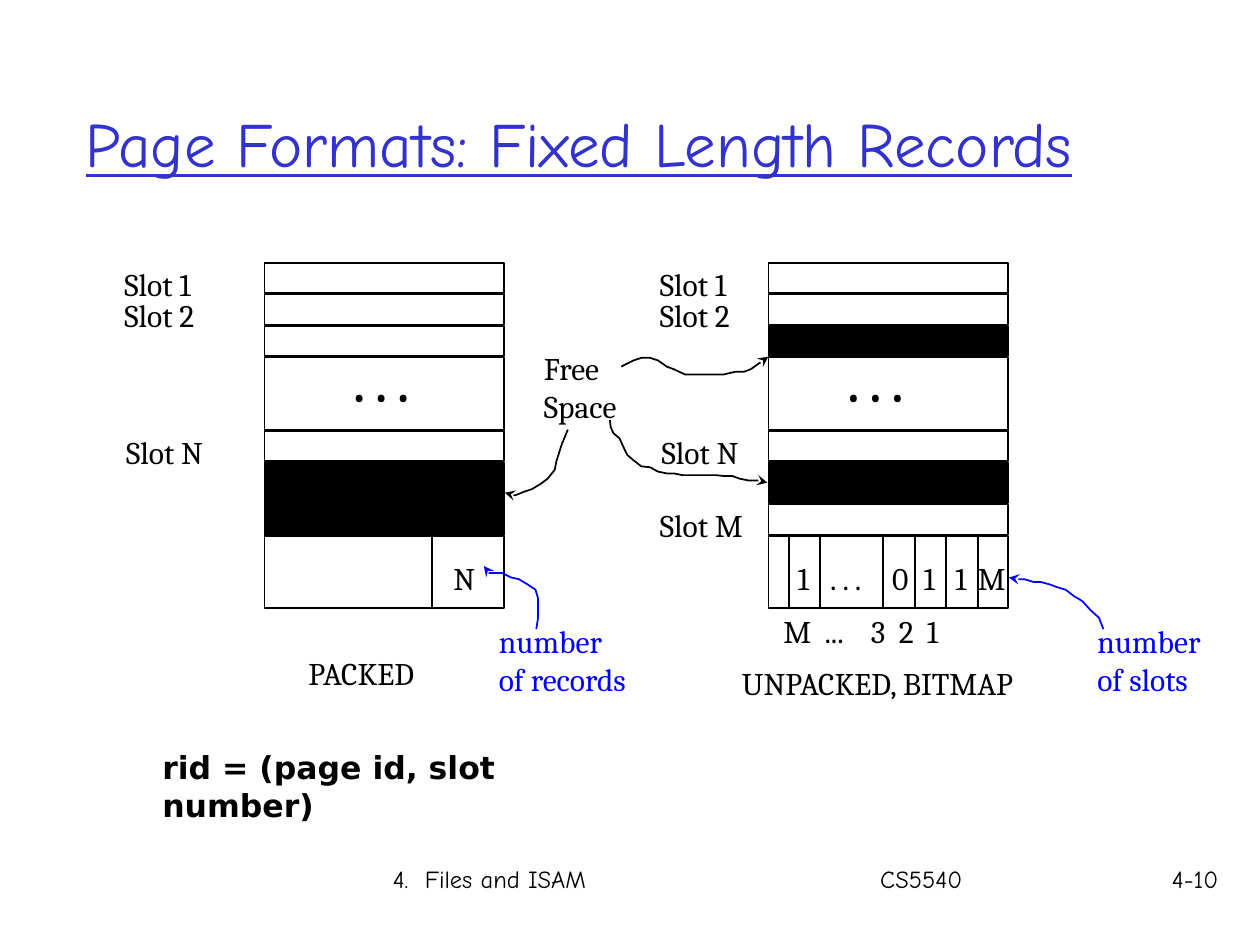
from dataclasses import dataclass

from lxml.etree import SubElement
from pptx import Presentation
from pptx.dml.color import RGBColor
from pptx.enum.shapes import MSO_CONNECTOR, MSO_SHAPE
from pptx.enum.text import MSO_ANCHOR, PP_ALIGN
from pptx.oxml.ns import qn
from pptx.util import Pt


@dataclass(frozen=True)
class Theme:
    black: RGBColor = RGBColor(0x00, 0x00, 0x00)
    blue: RGBColor = RGBColor(0x00, 0x00, 0xFF)
    title_blue: RGBColor = RGBColor(0x33, 0x33, 0xCC)
    heading_font: str = "Comic Neue"
    label_font: str = "Cambria"
    formula_font: str = "DejaVu Sans"
    title_size: int = 36
    dots_size: int = 28
    label_size: int = 18
    footer_size: int = 14
    line_width: int = 1


THEME = Theme()

PAGE_TOP = 150.25
PAGE_WIDTH = 136.8
PACKED_LEFT = 151.2
UNPACKED_LEFT = 439.2
ROW_GAP = 0.7
SLOT, BLOCK, FREE = 18, 42, 24
HEADER_TOP, HEADER_BOTTOM = 305.5, 347.5
BIT_LEFT, BIT_WIDTH = 450.75, 18

# Each row is its pitch and whether it is free space.
PACKED_ROWS = [(SLOT, False)] * 3 + [
    (BLOCK, False), (SLOT, False), (BLOCK, True), (BLOCK, False)]
UNPACKED_ROWS = [(SLOT, False)] * 2 + [
    (SLOT, True), (BLOCK, False), (SLOT, False),
    (FREE, True), (SLOT, False), (BLOCK, False)]

# Column of each bitmap cell, its text and the shift of the text.
BITMAP = [(0, "1", -2), (1, ". . .", -1.5), (3, "0", -2),
          (4, "1", -2), (5, "1", -2), (6, "M", -7.2)]

FREE_SPACE_ARROWS = [
    [(355, 209.5), (362, 206), (366.5, 204.5), (371.5, 204.5), (376, 206),
     (381, 209.5), (385, 211), (391.5, 214), (413.5, 214), (420, 212.5),
     (425, 212.5), (429, 211), (434, 207.5), (439, 203.8)],
    [(348.5, 240), (349, 244), (350.5, 247.5), (354, 250.5), (357, 257),
     (358.5, 260), (362, 263), (366.5, 266.5), (371.5, 267), (376, 269.5),
     (381, 270.5), (385, 270.5), (390, 271.5), (409, 271.5), (413.5, 272),
     (418.5, 272), (422.5, 273.5), (427.5, 274.5), (437, 274.5), (438.5, 275.8)],
    [(324.5, 245.5), (321, 254), (318, 263.5), (317, 268.5), (313, 273.5),
     (309, 276.5), (304, 279.5), (299.5, 281), (294.5, 283), (290, 283),
     (288.5, 281.5)],
]
COUNT_ARROWS = [
    [(306.5, 359.5), (307.5, 353), (307.5, 342), (306, 337), (301.5, 334),
     (296.5, 331), (292, 330), (287, 327.5), (278, 327.5), (276.5, 323.5)],
    [(630.5, 359.5), (628, 353), (623, 348.5), (618.5, 343.5), (613.5, 340.5),
     (609, 337), (604, 335.5), (600, 334), (594.5, 332.5), (590.5, 332.5),
     (585.5, 331), (581, 331), (576.5, 330)],
]


def write_text(frame, text, font=THEME.label_font, size=THEME.label_size,
               color=THEME.black, bold=False, underline=False,
               align=PP_ALIGN.LEFT, tabs=()):
    """Fill a text frame, one paragraph a line; tabs are stops in points."""
    for index, line in enumerate(text.split("\n")):
        para = frame.paragraphs[0] if index == 0 else frame.add_paragraph()
        para.alignment = align
        span = para.add_run()
        span.text = line
        span.font.name = font
        span.font.size = Pt(size)
        span.font.color.rgb = color
        span.font.bold = bold
        span.font.underline = underline
        if tabs:
            stops = SubElement(para._p.get_or_add_pPr(), qn("a:tabLst"))
            for stop in tabs:
                SubElement(stops, qn("a:tab"), pos=str(Pt(stop)), algn="l")


def add_label(page, text, left, top, width, height=29, wrap=False, **style):
    box = page.shapes.add_textbox(Pt(left), Pt(top), Pt(width), Pt(height))
    box.text_frame.word_wrap = wrap
    write_text(box.text_frame, text, **style)


def set_outline(shape, color=THEME.black):
    shape.line.color.rgb = color
    shape.line.width = Pt(THEME.line_width)


def add_rows(page, left, rows):
    """Stack the rows of one record page from top to bottom."""
    top = PAGE_TOP
    for pitch, is_free in rows:
        row = page.shapes.add_shape(MSO_SHAPE.RECTANGLE, Pt(left), Pt(top),
                                    Pt(PAGE_WIDTH), Pt(pitch - ROW_GAP))
        row.shadow.inherit = False
        if is_free:
            row.fill.solid()
            row.fill.fore_color.rgb = THEME.black
        else:
            row.fill.background()
        set_outline(row)
        top += pitch


def add_divider(page, x):
    divider = page.shapes.add_connector(MSO_CONNECTOR.STRAIGHT, Pt(x), Pt(HEADER_TOP),
                                        Pt(x), Pt(HEADER_BOTTOM))
    SubElement(divider._element.spPr, qn("a:effectLst"))
    set_outline(divider)


def add_curved_arrow(page, points, color):
    start, *rest = [(Pt(x), Pt(y)) for x, y in points]
    builder = page.shapes.build_freeform(*start)
    builder.add_line_segments(rest, close=False)
    arrow = builder.convert_to_shape()
    arrow.shadow.inherit = False
    arrow.fill.background()
    set_outline(arrow, color)
    SubElement(arrow.line._get_or_add_ln(), qn("a:tailEnd"), type="stealth")


def add_title(page, text):
    title = page.shapes.title
    title.left, title.top, title.width, title.height = Pt(41.8), Pt(36.7), Pt(612), Pt(89.3)
    title.text_frame.vertical_anchor = MSO_ANCHOR.MIDDLE
    write_text(title.text_frame, text, font=THEME.heading_font, size=THEME.title_size,
               color=THEME.title_blue, underline=True)


def add_slot_labels(page, left, last_slots=()):
    for name, shift, top in [("Slot 1", 0, 147.6), ("Slot 2", 0, 165.6),
                             ("Slot N", 1, 244), *last_slots]:
        add_label(page, name, left + shift, top, 65)


def add_packed_page(page):
    add_rows(page, PACKED_LEFT, PACKED_ROWS)
    add_divider(page, 247)
    add_slot_labels(page, 64)
    add_label(page, ". . .", 195, 198.7, 53, 40, size=THEME.dots_size, bold=True)
    add_label(page, "N", 252, 316, 28)
    add_label(page, "PACKED", 169.2, 370, 86)
    add_label(page, "number\nof records", 278, 352, 101, 50, color=THEME.blue)


def add_unpacked_page(page):
    add_rows(page, UNPACKED_LEFT, UNPACKED_ROWS)
    add_slot_labels(page, 370, [("Slot M", 0, 285.8)])
    add_label(page, ". . .", 477.4, 198.7, 53, 40, size=THEME.dots_size, bold=True)
    for column, text, shift in BITMAP:
        x = BIT_LEFT + column * BIT_WIDTH
        add_divider(page, x)
        add_label(page, text, x + shift, 316, 38 if len(text) > 1 else 25)
    add_label(page, "M\t...\t3\t2\t1", 440.6, 346.3, 122, wrap=True,
              tabs=(23.5, 50, 66, 82))
    add_label(page, "UNPACKED, BITMAP", 416.9, 376, 192)
    add_label(page, "number\nof slots", 620, 352, 84, 50, color=THEME.blue)


def add_footer(page):
    style = dict(font=THEME.heading_font, size=THEME.footer_size, wrap=True)
    add_label(page, "4.  Files and ISAM\tCS5540", 217.4, 490.3, 431, 36,
              tabs=(278.5,), **style)
    add_label(page, "4-10", 650, 490.3, 53.3, 36, align=PP_ALIGN.RIGHT, **style)


def main():
    deck = Presentation()
    deck.slide_width, deck.slide_height = Pt(720), Pt(540)
    page = deck.slides.add_slide(deck.slide_layouts[5])
    add_title(page, "Page Formats: Fixed Length Records")
    add_packed_page(page)
    add_unpacked_page(page)
    add_label(page, "Free\nSpace", 303.8, 195.8, 64, 50)
    for points in FREE_SPACE_ARROWS:
        add_curved_arrow(page, points, THEME.black)
    for points in COUNT_ARROWS:
        add_curved_arrow(page, points, THEME.blue)
    add_label(page, "rid = (page id, slot number)", 85.7, 424, 256.3, 50, wrap=True,
              font=THEME.formula_font, bold=True)
    add_footer(page)
    deck.save("out.pptx")


if __name__ == "__main__":
    main()
